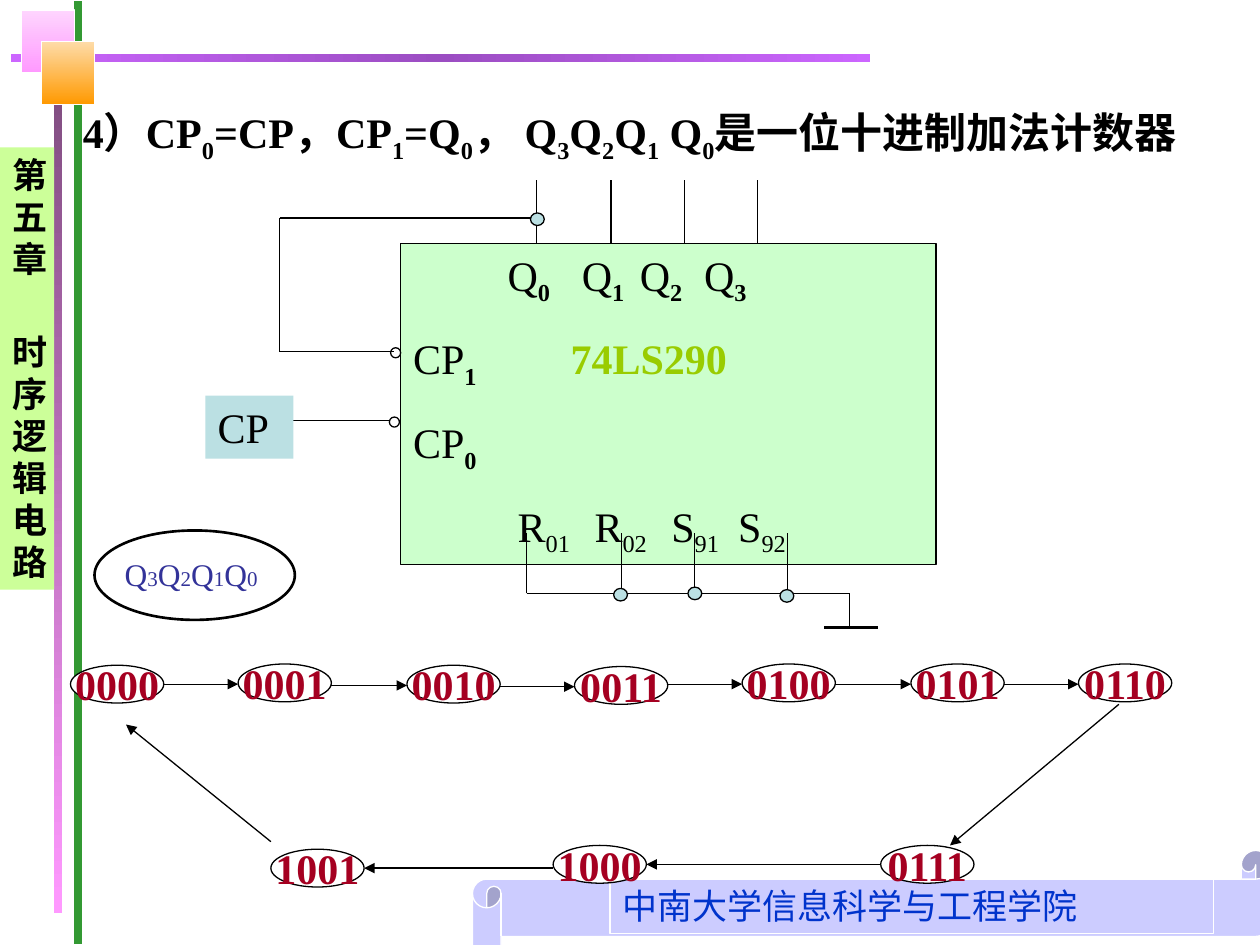
from itertools import pairwise
from lxml.etree import SubElement
from pptx import Presentation
from pptx.dml.color import RGBColor
from pptx.enum.shapes import MSO_CONNECTOR, MSO_SHAPE
from pptx.enum.text import MSO_ANCHOR, PP_ALIGN
from pptx.oxml import parse_xml
from pptx.oxml.ns import nsdecls, qn
from pptx.util import Pt

PX = 9144
LATIN = "Times New Roman"
HAN = "Noto Sans CJK SC"
COLORS = {
    "black": "000000", "white": "FFFFFF", "green": "339933", "lilac": "CCCCFF",
    "violet": "CC66FF", "plum": "9B4DC2", "mauve": "754675", "pink": "FF99FF",
    "blush": "FED5FE", "peach": "FEDCA9", "orange": "FF9900", "lime": "CCFF99",
    "footer": "0033CC", "state": "A50021", "chip": "CCFFCC", "part": "99CC00",
    "node": "BBE0E3", "legend": "333399",
}


def rgb(name):
    return RGBColor.from_string(COLORS[name])


def add_box(slide, kind, left, top, width, height, fill=None, line=None, weight=0.75):
    shape = slide.shapes.add_shape(kind, left * PX, top * PX, width * PX, height * PX)
    shape.shadow.inherit = False
    if fill:
        shape.fill.solid()
        shape.fill.fore_color.rgb = rgb(fill)
    else:
        shape.fill.background()
    if line:
        shape.line.color.rgb = rgb(line)
        shape.line.width = Pt(weight)
    else:
        shape.line.fill.background()
    return shape


def add_gradient_box(slide, left, top, width, height, names, angle):
    shape = add_box(slide, MSO_SHAPE.RECTANGLE, left, top, width, height, line="white")
    stops = "".join(
        f'<a:gs pos="{100000 * index // (len(names) - 1)}"><a:srgbClr val="{COLORS[name]}"/></a:gs>'
        for index, name in enumerate(names))
    gradient = parse_xml(
        f'<a:gradFill {nsdecls("a")}><a:gsLst>{stops}</a:gsLst>'
        f'<a:lin ang="{angle * 60000}" scaled="0"/></a:gradFill>')
    properties = shape._element.spPr
    properties.replace(properties.find(qn("a:noFill")), gradient)


def add_line(slide, start, end, weight=0.75, arrow=False):
    line = slide.shapes.add_connector(
        MSO_CONNECTOR.STRAIGHT, *(value * PX for value in (*start, *end)))
    line.line.color.rgb = rgb("black")
    line.line.width = Pt(weight)
    if arrow:
        SubElement(line.line._get_or_add_ln(), qn("a:tailEnd"), type="triangle")
    SubElement(line._element.spPr, qn("a:effectLst"))


def start_para(box, first=False, space=0, tabs=(), align=PP_ALIGN.LEFT):
    frame = box.text_frame
    para = frame.paragraphs[0] if first else frame.add_paragraph()
    if first:
        frame.word_wrap = True
        frame.vertical_anchor = MSO_ANCHOR.TOP
    else:
        para.space_before = Pt(space)
    para.alignment = align
    if tabs:
        stops = SubElement(para._p.get_or_add_pPr(), qn("a:tabLst"))
        for tab in tabs:
            SubElement(stops, qn("a:tab"), pos=str(tab * PX), algn="l")
    return para


def add_spans(para, text, size=24, color="black", bold=False, sub_bold=None,
              sub_size=None, latin=LATIN):
    for index, piece in enumerate(text.split("|")):
        if not piece:
            continue
        lowered = index % 2 == 1
        span = para.add_run()
        span.text = piece
        font = span.font
        font.size = Pt(sub_size if lowered and sub_size else size)
        font.bold = sub_bold if lowered and sub_bold is not None else bold
        font.color.rgb = rgb(color)
        font.name = latin
        SubElement(font._element, qn("a:ea"), typeface=HAN)
        if lowered and not sub_size:
            font._element.set("baseline", "-25000")


def add_text(slide, left, top, width, height, text, **style):
    box = slide.shapes.add_textbox(left * PX, top * PX, width * PX, height * PX)
    add_spans(start_para(box, first=True), text, **style)


def draw_frame(slide, left, top):
    add_box(slide, MSO_SHAPE.RECTANGLE, left + 58, top, 8, 750, "green", "white")
    scroll = add_box(slide, MSO_SHAPE.HORIZONTAL_SCROLL, left + 375, top + 675, 633, 91,
                     "lilac", "white")
    scroll.adjustments[0] = 0.25
    add_gradient_box(slide, left + 8, top + 42, 683, 8, ["violet", "plum", "violet"], 180)
    school = add_box(slide, MSO_SHAPE.RECTANGLE, left + 484, top + 697, 479, 44, line="white")
    add_spans(start_para(school, first=True), "中南大学信息科学与工程学院",
              size=20, color="footer")
    add_gradient_box(slide, left + 42, top + 8, 8, 717, ["mauve", "pink"], 90)
    add_gradient_box(slide, left + 17, top + 8, 42, 50, ["blush", "pink"], 90)
    add_gradient_box(slide, left + 33, top + 33, 42, 50, ["peach", "orange"], 90)


def draw_chapter(slide, left, top, width, height):
    box = add_box(slide, MSO_SHAPE.RECTANGLE, left, top, width, height, "lime")
    for index, text in enumerate(["第五章", "时序逻辑电路"]):
        para = start_para(box, first=index == 0, space=29, align=PP_ALIGN.JUSTIFY)
        add_spans(para, text, size=20, bold=True, latin=HAN)


def draw_states(slide, left, top):
    def add_state(text, x, y):
        oval = add_box(slide, MSO_SHAPE.OVAL, left + x, top + y, 74, 30, "white", "black")
        add_spans(start_para(oval, first=True, align=PP_ALIGN.CENTER), text,
                  color="state", bold=True)
        oval.text_frame.word_wrap = False
        oval.text_frame.vertical_anchor = MSO_ANCHOR.MIDDLE

    def add_arrow(start, end):
        add_line(slide, (left + start[0], top + start[1]),
                 (left + end[0], top + end[1]), arrow=True)

    drops = [1, 0, 1, 2, 0, 0, 0]
    places = [(round(index * 400 / 3), drop) for index, drop in enumerate(drops)]
    for number, (x, y) in enumerate(places):
        add_state(f"{number:04b}", x, y)
    for (x, _), (target, y) in pairwise(places):
        add_arrow((x + 74, y + 16), (target, y + 16))

    returns = [(643, 144), (383, 144), (159, 147)]
    for number, (x, y) in enumerate(returns, start=len(places)):
        add_state(f"{number:04b}", x, y)
    for (x, _), (target, y) in pairwise(returns):
        add_arrow((x, y + 15), (target + 74, y + 15))
    add_arrow((832, 32), (698, 144))
    add_arrow((159, 141), (44, 48))


def draw_circuit(slide, left, top):
    def add_wire(x1, y1, x2, y2, weight=0.75):
        add_line(slide, (left + x1, top + y1), (left + x2, top + y2), weight)

    def add_dot(x, y, width, height, fill):
        add_box(slide, MSO_SHAPE.OVAL, left + x, top + y, width, height, fill, "black")

    chip = add_box(slide, MSO_SHAPE.RECTANGLE, left + 155, top + 50, 425, 255, "chip", "black")
    rows = [
        ("\tQ|0|\tQ|1|\tQ|2|\tQ|3", [75, 134, 180, 231], True),
        ("CP|1|\t", [125], True),
        ("CP|0", [], True),
        ("\tR|01|\tR|02|\tS|91|\tS|92", [83, 144, 205, 258], False),
    ]
    for index, (text, tabs, sub_bold) in enumerate(rows):
        para = start_para(chip, first=index == 0, space=15, tabs=tabs)
        add_spans(para, text, sub_bold=sub_bold)
        if index == 1:
            add_spans(para, "74LS290", color="part", bold=True)

    for x in (263, 322, 380, 438):
        add_wire(x, 50, x, 0)
    for x in (255, 330, 388, 462):
        add_wire(x, 328, x, 280)

    add_wire(63, 191, 155, 191)
    add_dot(147, 133, 8, 8, "white")
    add_wire(59, 136, 150, 136)
    add_dot(146, 188, 8, 8, "white")
    clock = add_box(slide, MSO_SHAPE.RECTANGLE, left, top + 171, 70, 50, "node")
    add_spans(start_para(clock, first=True), "CP")

    add_wire(59, 136, 59, 30)
    add_wire(59, 30, 263, 30)
    add_dot(258, 26, 11, 10, "node")
    add_wire(255, 328, 511, 328)
    add_wire(511, 328, 511, 355)
    add_wire(491, 355, 534, 355, weight=2.25)
    for x, y in ((324, 324), (383, 323), (456, 325)):
        add_dot(x, y, 11, 10, "node")


def draw_legend(slide, left, top):
    add_text(slide, left + 14, top + 15, 126, 40, "Q|3|Q|2|Q|1|Q|0",
             size=18, sub_size=12, color="legend")
    add_box(slide, MSO_SHAPE.OVAL, left, top, 159, 71, line="black", weight=1.5)


def main():
    deck = Presentation()
    deck.slide_width, deck.slide_height = 1000 * PX, 750 * PX
    page = deck.slides.add_slide(deck.slide_layouts[6])
    draw_frame(page, 0, 0)
    draw_chapter(page, 0, 117, 43, 351)
    add_text(page, 56, 80, 1007, 56,
             "4）CP|0|=CP，CP|1|=Q|0|， Q|3|Q|2|Q|1| Q|0|是一位十进制加法计数器", bold=True)
    draw_states(page, 56, 527)
    draw_circuit(page, 163, 143)
    draw_legend(page, 75, 421)
    deck.save("out.pptx")


if __name__ == "__main__":
    main()
